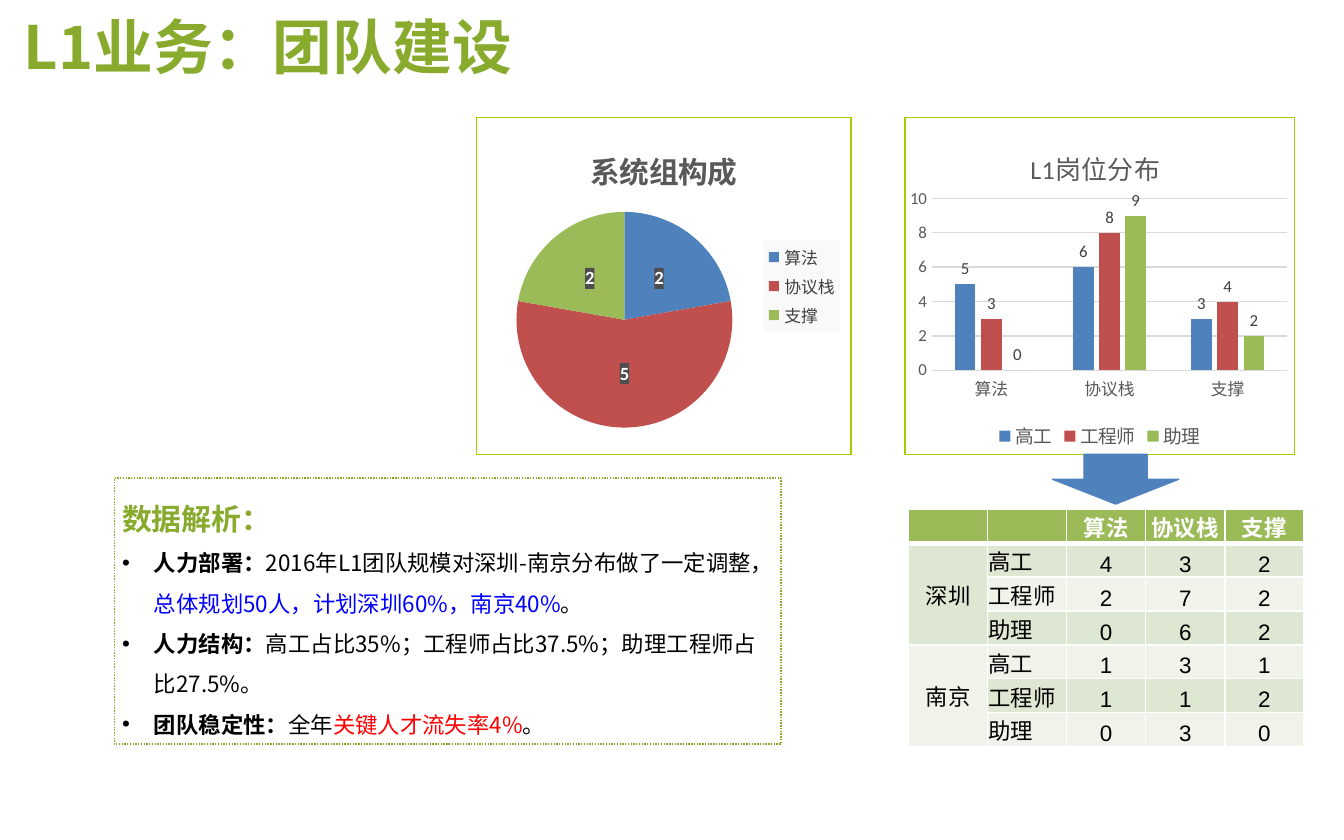
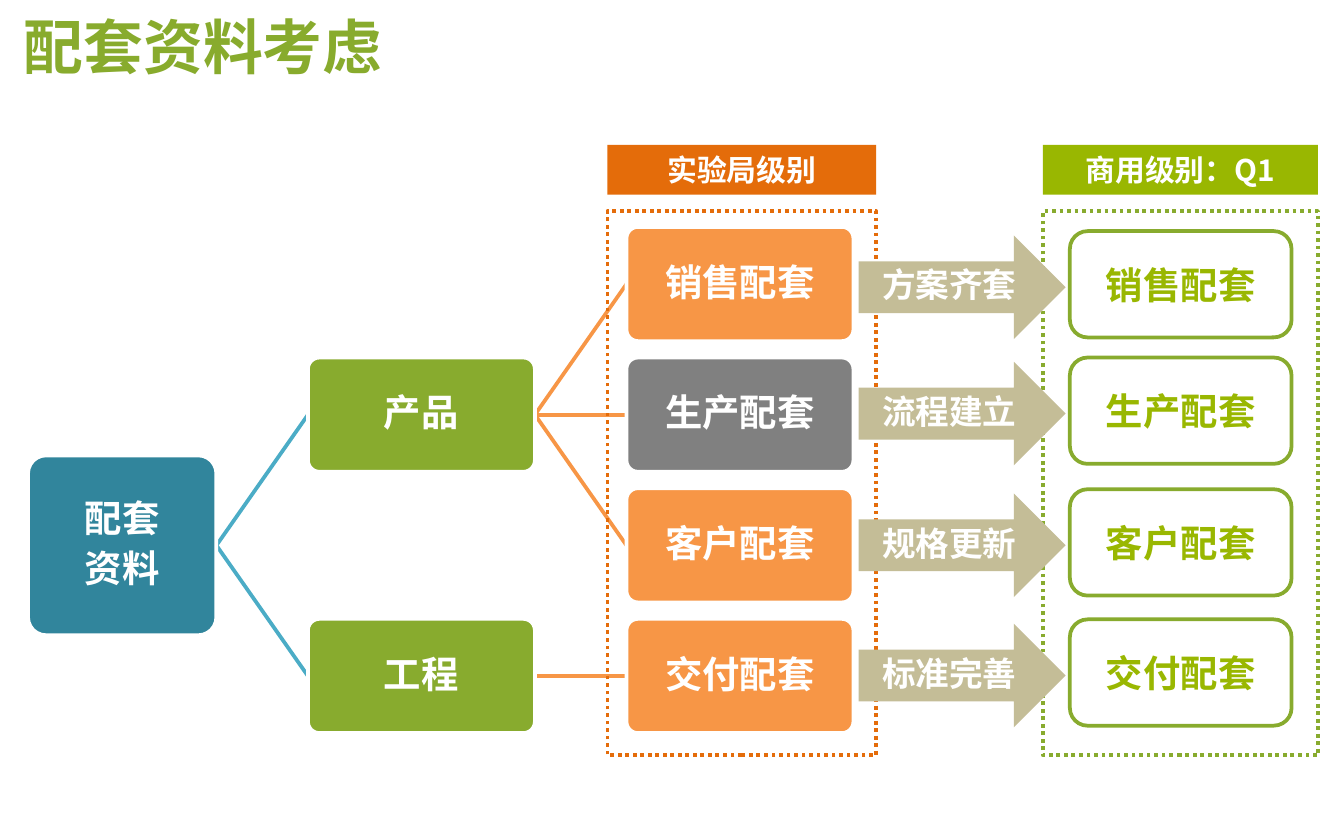
import pptx
import pptx.chart.data
import pptx.dml.color
import pptx.enum.chart
import pptx.enum.dml
import pptx.enum.shapes
import pptx.enum.text
import pptx.oxml
import pptx.oxml.ns
import pptx.util
from lxml import etree

Cm, Pt = pptx.util.Cm, pptx.util.Pt
qn = pptx.oxml.ns.qn
SHAPE = pptx.enum.shapes.MSO_SHAPE
ALIGN = pptx.enum.text.PP_ALIGN
ANCHOR = pptx.enum.text.MSO_ANCHOR
CHART = pptx.enum.chart

FONT = "Noto Sans CJK SC"
COLORS = {
    "title": "88AB2D", "green": "88AB2E", "lime": "99B701", "frame": "A9CB01",
    "orange": "F79646", "dark_orange": "E46C0A", "gray": "808080", "tan": "C4BD97",
    "teal": "31859C", "aqua": "4BACC6", "white": "FFFFFF", "black": "000000",
    "link": "0000FF", "alert": "FF0000", "blue": "4F81BD", "red": "C0504D",
    "leaf": "9BBB59", "band_dark": "DEE7D1", "band_light": "EFF3EA",
    "grid": "D9D9D9", "chart_text": "595959", "label": "404040",
    "label_back": "4D4D4D", "legend_back": "F9F9F9",
}

# Content: team page
TEAM_TITLE = "L1业务：团队建设"
ANALYSIS_HEADING = "数据解析："
ANALYSIS = [
    [("人力部署：", {"bold": True}),
     ("2016年L1团队规模对深圳-南京分布做了一定调整，", {}),
     ("总体规划50人，计划深圳60%，南京40%", {"color": "link"}), ("。", {})],
    [("人力结构：", {"bold": True}),
     ("高工占比35%；工程师占比37.5%；助理工程师占比27.5%。", {})],
    [("团队稳定性：", {"bold": True}), ("全年", {}),
     ("关键人才流失率4%", {"color": "alert"}), ("。", {})],
]
GROUPS = ["算法", "协议栈", "支撑"]
GRADES = ["高工", "工程师", "助理"]
SERIES_COLORS = ["blue", "red", "leaf"]
PIE_TITLE, PIE_VALUES = "系统组构成", [2, 5, 2]
BAR_TITLE, BAR_VALUES = "L1岗位分布", [[5, 6, 3], [3, 8, 4], [0, 9, 2]]
STAFF = {
    "深圳": [[4, 3, 2], [2, 7, 2], [0, 6, 2]],
    "南京": [[1, 3, 1], [1, 1, 2], [0, 3, 0]],
}

# Content: documents page; lengths in centimetres
DOCS_TITLE = "配套资料考虑"
ROOT = ["配套", "资料"]
BRANCHES = [("产品", 1, [0, 1, 2]), ("工程", 3, [3])]  # name, row, rows of its children
ROWS = [  # name, colour, step, top of the commercial box
    ("销售配套", "orange", "方案齐套", 4.37),
    ("生产配套", "gray", "流程建立", 6.76),
    ("客户配套", "orange", "规格更新", 9.25),
    ("交付配套", "orange", "标准完善", 11.71),
]
LEVELS = [  # heading, fill, line, left, width
    ("实验局级别", "dark_orange", "dark_orange", 11.48, 5.08),
    ("商用级别：Q1", "lime", "green", 19.71, 5.2),
]


def rgb(name):
    return pptx.dml.color.RGBColor.from_string(COLORS[name])


def format_font(font, size, color, bold=False, name=FONT):
    font.size, font.bold, font.name = Pt(size), bold, name
    font.color.rgb = rgb(color)


def write(paragraph, spans, size=12, color="black", bold=False, name=FONT,
          align=ALIGN.LEFT, spacing=None, after=None):
    """Fill a paragraph with a text, or with (text, format) spans."""
    paragraph.alignment = align
    if spacing:
        paragraph.line_spacing = spacing
    if after:
        paragraph.space_after = Pt(after)
    for text, changes in [(spans, {})] if isinstance(spans, str) else spans:
        span = paragraph.add_run()
        span.text = text
        format_font(span.font, **{"size": size, "color": color, "bold": bold,
                                  "name": name, **changes})
        east = etree.SubElement(span.font._element, qn("a:ea"))
        east.set("typeface", FONT)


def set_frame(frame, margins=(0.25, 0.13, 0.25, 0.13), anchor=ANCHOR.MIDDLE):
    frame.word_wrap = True
    frame.vertical_anchor = anchor
    (frame.margin_left, frame.margin_top,
     frame.margin_right, frame.margin_bottom) = map(Cm, margins)


def add_box(page, kind, left, top, width, height, fill=None, line=None, weight=2,
            dotted=False, texts=(), margins=(0.25, 0.13, 0.25, 0.13), **style):
    box = page.shapes.add_shape(kind, Cm(left), Cm(top), Cm(width), Cm(height))
    box.shadow.inherit = False
    if fill:
        box.fill.solid()
        box.fill.fore_color.rgb = rgb(fill)
    else:
        box.fill.background()
    if line:
        box.line.color.rgb = rgb(line)
        box.line.width = Pt(weight)
        if dotted:
            box.line.dash_style = pptx.enum.dml.MSO_LINE.ROUND_DOT
    else:
        box.line.fill.background()
    set_frame(box.text_frame, margins)
    for index, text in enumerate(texts):
        frame = box.text_frame
        paragraph = frame.add_paragraph() if index else frame.paragraphs[0]
        write(paragraph, text, bold=True, align=ALIGN.CENTER, **style)
    return box


def add_page(deck, title, width):
    page = deck.slides.add_slide(deck.slide_layouts[5])
    box = page.shapes.title
    box.left, box.top, box.width, box.height = Cm(0.2), Cm(0.2), Cm(width), Cm(1.32)
    set_frame(box.text_frame)
    box.text_frame.auto_size = pptx.enum.text.MSO_AUTO_SIZE.NONE
    write(box.text_frame.paragraphs[0], title, size=32, color="title", bold=True)
    return page


def add_line(page, start, end, color):
    line = page.shapes.add_connector(pptx.enum.shapes.MSO_CONNECTOR.STRAIGHT,
                                     *map(Cm, start + end))
    line.line.color.rgb = rgb(color)
    line.line.width = Pt(2)
    etree.SubElement(line._element.spPr, qn("a:effectLst"))


# Chart helpers
def dress(element, fill=None, line=None):
    """Give a chart part that has text properties a fill and an outline."""
    def paint(color):
        return f'<a:solidFill><a:srgbClr val="{COLORS[color]}"/></a:solidFill>' if color else "<a:noFill/>"
    element.find(qn("c:txPr")).addprevious(pptx.oxml.parse_xml(
        f'<c:spPr {pptx.oxml.ns.nsdecls("c", "a")}>{paint(fill)}'
        f'<a:ln w="9525">{paint(line)}</a:ln></c:spPr>'))


def place(element, **values):
    """Place a chart title or plot area by fractions of the chart."""
    layout = element.find(qn("c:layout"))
    if layout is None:
        layout = etree.Element(qn("c:layout"))
        element.insert(0, layout)
    manual = etree.SubElement(layout, qn("c:manualLayout"))
    settings = {"layoutTarget": "inner"} if "w" in values else {}
    settings.update(xMode="edge", yMode="edge", **values)
    for tag, value in settings.items():
        etree.SubElement(manual, qn("c:" + tag)).set("val", str(value))


def add_chart(page, kind, left, width, series, title, title_style, title_at, plot_at,
              legend_at, legend_size, legend_color, fill=None):
    data = pptx.chart.data.CategoryChartData()
    data.categories = GROUPS
    for name, values in series:
        data.add_series(name, values)
    chart = page.shapes.add_chart(kind, Cm(left), Cm(2.21), Cm(width), Cm(6.4), data).chart
    format_font(chart.font, 10, "black", name="Calibri")
    dress(chart._chartSpace, fill, "frame")
    chart.has_title = True
    write(chart.chart_title.text_frame.paragraphs[0], title, color="chart_text",
          align=ALIGN.CENTER, **title_style)
    place(chart.chart_title._element, **title_at)
    place(chart._chartSpace.chart.plotArea, **plot_at)
    chart.has_legend = True
    chart.legend.position = legend_at
    chart.legend.include_in_layout = False
    format_font(chart.legend.font, legend_size, legend_color, name="Calibri")
    return chart


def paint_item(item, color):
    item.format.fill.solid()
    item.format.fill.fore_color.rgb = rgb(color)


def add_labels(series, position, size, color, bold=False):
    labels = series.data_labels
    labels.show_value = True
    labels.position = position
    format_font(labels.font, size, color, bold, "Calibri")
    return labels


def add_pie(page):
    chart = add_chart(page, CHART.XL_CHART_TYPE.PIE, 8.99, 7.11, [("Series 1", PIE_VALUES)],
                      PIE_TITLE, {"size": 16, "bold": True}, {"x": 0.29, "y": 0.07},
                      {"x": 0.06, "y": 0.28, "w": 0.67, "h": 0.64},
                      CHART.XL_LEGEND_POSITION.RIGHT, 9, "label", "white")
    dress(chart.legend._element, "legend_back")
    series = chart.plots[0].series[0]
    for index, color in enumerate(SERIES_COLORS):
        paint_item(series.points[index], color)
    labels = add_labels(series, CHART.XL_LABEL_POSITION.CENTER, 10, "white", True)
    dress(labels._element, "label_back")


def add_bars(page):
    chart = add_chart(page, CHART.XL_CHART_TYPE.COLUMN_CLUSTERED, 17.09, 7.39,
                      zip(GRADES, BAR_VALUES), BAR_TITLE, {"size": 14, "name": "Calibri"},
                      {"x": 0.31, "y": 0.07}, {"x": 0.07, "y": 0.24, "w": 0.91, "h": 0.51},
                      CHART.XL_LEGEND_POSITION.BOTTOM, 10, "chart_text")
    plot = chart.plots[0]
    plot.gap_width, plot.overlap, plot.vary_by_categories = 219, -27, False
    for series, color in zip(plot.series, SERIES_COLORS):
        paint_item(series, color)
        add_labels(series, CHART.XL_LABEL_POSITION.OUTSIDE_END, 9, "label")
    scale = chart.value_axis
    scale.minimum_scale, scale.maximum_scale, scale.major_unit = 0, 10, 2
    for axis in (chart.category_axis, scale):
        axis.major_tick_mark = axis.minor_tick_mark = CHART.XL_TICK_MARK.NONE
        format_font(axis.tick_labels.font, 9, "chart_text", name="Calibri")
    scale.format.line.fill.background()
    for line in (chart.category_axis.format.line, scale.major_gridlines.format.line):
        line.color.rgb = rgb("grid")
        line.width = Pt(0.75)


# Table
def format_cell(cell, text, fill, header=False, top=1, align=ALIGN.CENTER,
                anchor=ANCHOR.BOTTOM):
    cell.fill.solid()
    cell.fill.fore_color.rgb = rgb(fill)
    cell.vertical_anchor = anchor
    cell.margin_left = cell.margin_right = cell.margin_top = Cm(0.02)
    cell.margin_bottom = 0
    paragraph = cell.text_frame.paragraphs[0]
    if text:
        write(paragraph, text, color="white" if header else "black", bold=header,
              name="Arial", align=align)
    else:
        paragraph._p.get_or_add_endParaRPr().set("sz", "1200")
    widths = {"L": 1, "R": 1, "T": top, "B": 3 if header else 1}
    for index, (side, width) in enumerate(widths.items()):
        cell._tc.tcPr.insert(index, pptx.oxml.parse_xml(
            f'<a:ln{side} {pptx.oxml.ns.nsdecls("a")} w="{Pt(width)}"><a:solidFill>'
            f'<a:srgbClr val="{COLORS["white"]}"/></a:solidFill></a:ln{side}>'))


def add_staff_table(page):
    rows = [["", ""] + GROUPS]
    for city, counts in STAFF.items():
        for index, (grade, numbers) in enumerate(zip(GRADES, counts)):
            rows.append(["" if index else city, grade] + [str(n) for n in numbers])
    table = page.shapes.add_table(len(rows), len(rows[0]), Cm(17.17), Cm(9.63),
                                  Cm(7.47), Cm(4.5)).table
    for row_index, row in enumerate(rows):
        table.rows[row_index].height = Cm(0.64)
        for column, text in enumerate(row):
            fill = "band_dark" if row_index % 2 else "band_light"
            format_cell(table.cell(row_index, column), text, fill if row_index else "leaf",
                        header=row_index == 0, top=3 if row_index == 1 else 1,
                        align=ALIGN.LEFT if column == 1 else ALIGN.CENTER,
                        anchor=ANCHOR.BOTTOM if column or not row_index else ANCHOR.MIDDLE)
    for first in range(1, len(rows), len(GRADES)):
        table.cell(first, 0).merge(table.cell(first + len(GRADES) - 1, 0))


def build_team_page(deck):
    page = add_page(deck, TEAM_TITLE, 16.87)
    box = add_box(page, SHAPE.RECTANGLE, 2.16, 9.04, 12.6, 5.03, line="green",
                  weight=0.75, dotted=True)
    frame = box.text_frame
    set_frame(frame, (0.15, 0.08, 0.15, 0.08), ANCHOR.TOP)
    write(frame.paragraphs[0], ANALYSIS_HEADING, size=16, color="green", bold=True, spacing=1.5)
    for spans in ANALYSIS:
        paragraph = frame.add_paragraph()
        write(paragraph, spans, spacing=1.5)
        properties = paragraph._p.get_or_add_pPr()
        properties.set("marL", str(Cm(0.6)))
        properties.set("indent", str(Cm(-0.6)))
        etree.SubElement(properties, qn("a:buFont")).set("typeface", "Arial")
        etree.SubElement(properties, qn("a:buChar")).set("char", "•")
    add_pie(page)
    add_bars(page)
    add_staff_table(page)
    add_box(page, SHAPE.DOWN_ARROW, 19.89, 8.59, 2.39, 0.94, "blue", "blue", 0.75)


def build_docs_page(deck):
    page = add_page(deck, DOCS_TITLE, 16.08)
    node_width, node_height, first_top, pitch = 4.29, 2.16, 4.29, 2.47
    root_left, root_width, branch_left, leaf_left = 0.53, 3.56, 5.82, 11.84

    def row_middle(row):
        return first_top + row * pitch + node_height / 2

    def add_node(texts, left, top, fill, width=node_width, height=node_height):
        box = add_box(page, SHAPE.ROUNDED_RECTANGLE, left, top, width, height, fill, "white",
                      texts=texts, margins=(0.09,) * 4, size=20, color="white",
                      spacing=0.9, after=5)
        box.adjustments[0] = 0.1

    # Tree lines, then the boxes over their ends
    root_middle = row_middle(2) - pitch / 2 + pitch / 2
    for name, row, children in BRANCHES:
        add_line(page, (root_left + root_width, root_middle),
                 (branch_left, row_middle(row)), "aqua")
        for child in children:
            add_line(page, (branch_left + node_width, row_middle(row)),
                     (leaf_left, row_middle(child)), "orange")
    add_node(ROOT, root_left, root_middle - 1.7, "teal", root_width, 3.4)
    for name, row, children in BRANCHES:
        add_node([name], branch_left, first_top + row * pitch, "green")
    for row, (name, color, step, top) in enumerate(ROWS):
        add_node([name], leaf_left, first_top + row * pitch, color)

    # Level frames and headings
    for heading, fill, line, left, width in LEVELS:
        add_box(page, SHAPE.RECTANGLE, left, 3.99, width, 10.29, line=line, dotted=True)
        add_box(page, SHAPE.RECTANGLE, left, 2.74, width, 0.94, fill,
                texts=[heading], size=16, color="white")

    # Steps from trial level to commercial level
    for name, color, step, top in ROWS:
        add_box(page, SHAPE.ROUNDED_RECTANGLE, 20.22, top, 4.19, 2.01, "white", "green",
                texts=[name], size=20, color="lime")
        add_box(page, SHAPE.RIGHT_ARROW, 16.23, top + 0.08, 3.91, 1.96, "tan",
                texts=[step], margins=(0, 0, 0, 0.1), size=18, color="white")


def main():
    deck = pptx.Presentation()
    deck.slide_width, deck.slide_height = Cm(25.4), Cm(15.88)
    build_team_page(deck)
    build_docs_page(deck)
    deck.save("out.pptx")


if __name__ == "__main__":
    main()
